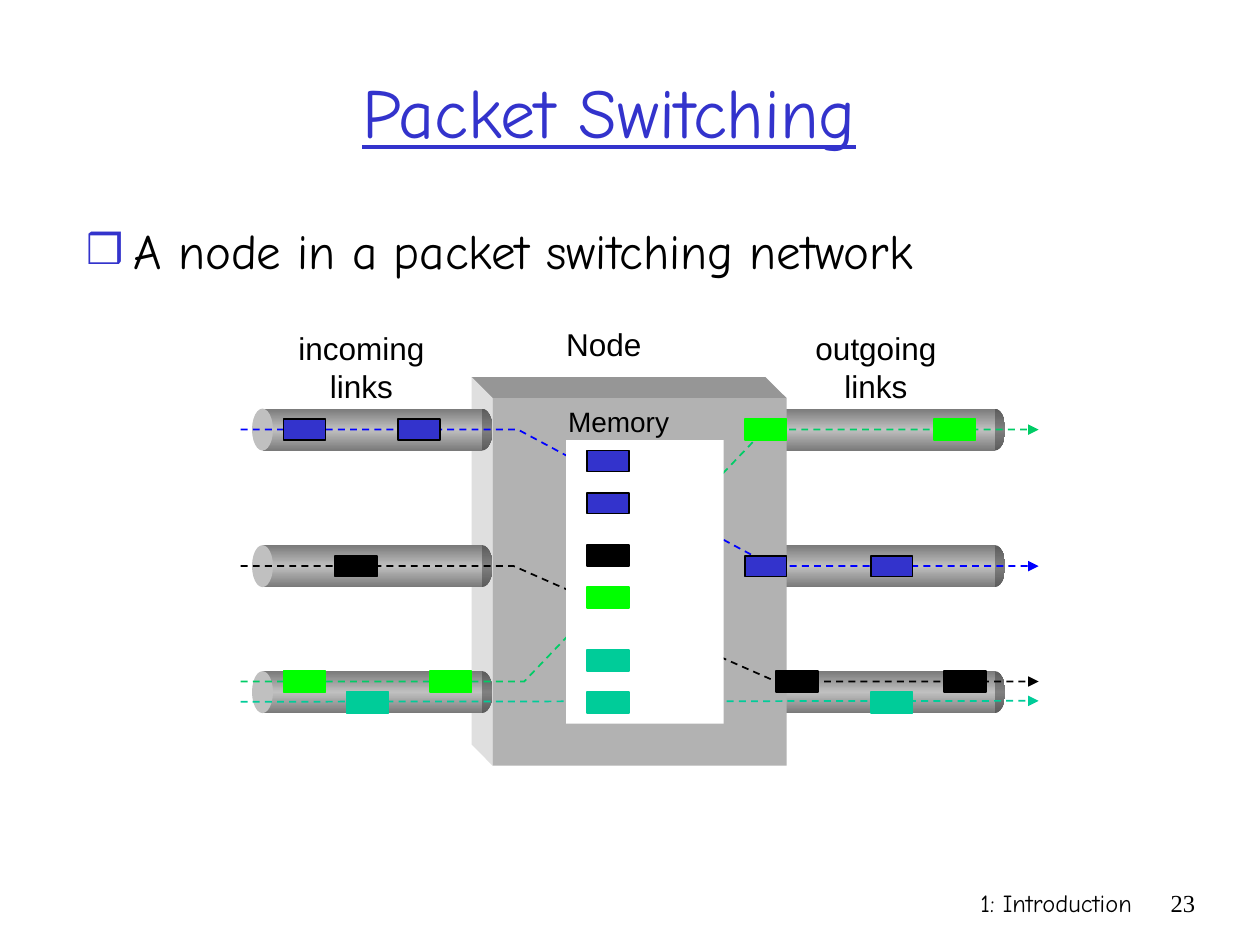
import copy

import pptx
import pptx.util
import pptx.dml.color
import pptx.enum.dml
import pptx.enum.shapes
import pptx.enum.text
import pptx.oxml
import pptx.oxml.ns
from lxml import etree

Pt = pptx.util.Pt
qn = pptx.oxml.ns.qn
SHAPES = pptx.enum.shapes.MSO_SHAPE
ALIGN = pptx.enum.text.PP_ALIGN

THEME = {
    "heading": "Comic Neue", "label": "Arial", "number": "Times New Roman",
    "title_size": 40, "body_size": 28, "label_size": 18, "memory_size": 16,
    "footer_size": 14,
    "black": "000000", "blue": "3333CC", "green": "00FF00", "teal": "00CC99",
    "blue_route": "0000FF", "green_route": "00CC66", "white": "FFFFFF",
    "node_front": "B2B2B2", "node_top": "969696", "node_side": "DFDFDF",
    "pipe_mouth": "C0C0C0", "pipe_body": ("7A7A7A", "C0C0C0"),
    "pipe_end": ("5B5B5B", "808080"),
}

TITLE = "Packet Switching"
BULLET = "A node in a packet switching network"

# text, (left, top, width, height), font, size, alignment, inset
FOOTER = [
    ("1: Introduction", (426, 504, 228, 36), "heading", "footer_size", ALIGN.RIGHT, True),
    ("23", (654, 504, 36, 36), "number", "footer_size", ALIGN.RIGHT, True),
]
LABELS = [
    ("incoming\nlinks", (150, 188, 113, 43), "label", "label_size", ALIGN.CENTER, False),
    ("outgoing\nlinks", (445.5, 188, 110, 43), "label", "label_size", ALIGN.CENTER, False),
    ("Node", (320, 186, 50, 21.5), "label", "label_size", ALIGN.CENTER, False),
]
MEMORY_LABEL = ("Memory", (317.5, 227.5, 72, 26), "label", "memory_size", ALIGN.CENTER, True)

PIPE_TOPS = (233.5, 311.5, 383.5)
INCOMING_LEFT, OUTGOING_LEFT = 144, 437
PIPE_LENGTH, PIPE_HEIGHT, PIPE_CAP = 137.5, 24, 12

NODE = (281.5, 227.5, 168, 210)
NODE_DEPTH = 12
MEMORY = (323.5, 251.5, 90, 162)

ROUTE_START, ROUTE_END = 137.5, 593.5
LANES = (245.5, 323.5, 389.5)
# colour, lane in, x of first bend, x of second bend, lane out
ROUTES = [
    ("green_route", 2, 299.5, 437, 0),
    ("blue_route", 0, 296, 441.5, 1),
    ("black", 1, 293.5, 443.5, 2),
]
STRAIGHT_ROUTE_Y = (401, 400.5)

PACKET = (24, 12)
# fill, outline, left and top of each packet
PACKETS = [
    ("blue", "black", [(162, 239.5), (227.5, 239.5), (335.5, 257.5), (335.5, 281.5),
                       (425.5, 317.5), (497.5, 317.5)]),
    ("black", "black", [(191.5, 317.5), (335.5, 311.5), (443.5, 383.5), (539.5, 383.5)]),
    ("green", "green", [(162, 383.5), (245.5, 383.5), (335.5, 335.5), (425.5, 239.5),
                        (533.5, 239.5)]),
    ("teal", "teal", [(198, 395.5), (335.5, 395.5), (335.5, 371.5), (497.5, 395.5)]),
]


def colour(name):
    return pptx.dml.color.RGBColor.from_string(THEME[name])


def place(shape, box):
    shape.left, shape.top, shape.width, shape.height = map(Pt, box)


def add_run(paragraph, words, font, size, tint="black"):
    run = paragraph.add_run()
    run.text = words
    run.font.name = THEME[font]
    run.font.size = Pt(THEME[size])
    run.font.color.rgb = colour(tint)
    return run


def add_label(slide, words, box, font, size, align, inset):
    label = slide.shapes.add_textbox(*map(Pt, box))
    frame = label.text_frame
    frame.word_wrap = False
    if not inset:
        frame.margin_left = frame.margin_right = frame.margin_top = frame.margin_bottom = 0
    paragraph = frame.paragraphs[0]
    paragraph.alignment = align
    for index, line in enumerate(words.split("\n")):
        if index:
            paragraph.add_line_break()
        add_run(paragraph, line, font, size)


def add_solid(shapes, kind, box, fill, outline=None):
    shape = shapes.add_shape(kind, *map(Pt, box))
    finish(shape, fill, outline)
    return shape


def finish(shape, fill, outline=None):
    shape.shadow.inherit = False
    shape.fill.solid()
    shape.fill.fore_color.rgb = colour(fill)
    if outline:
        shape.line.color.rgb = colour(outline)
        shape.line.width = Pt(1)
    else:
        shape.line.fill.background()


def shade(shape, name):
    """Fill with a vertical gradient, dark at both edges and light in the middle."""
    shape.fill.gradient()
    shape.fill.gradient_angle = 90
    for stop, tint, position in zip(shape.fill.gradient_stops, THEME[name], (0, 0.5)):
        stop.color.rgb = pptx.dml.color.RGBColor.from_string(tint)
        stop.position = position
    stops = shape._element.spPr.find(".//" + qn("a:gsLst"))
    last = copy.deepcopy(stops[0])
    last.set("pos", "100000")
    stops.append(last)


def add_pipe(slide, left, top):
    pipe = slide.shapes.add_group_shape().shapes
    end_left = left + PIPE_LENGTH - PIPE_CAP
    end = add_solid(pipe, SHAPES.OVAL, (end_left, top, PIPE_CAP, PIPE_HEIGHT), "pipe_mouth")
    shade(end, "pipe_end")
    body_box = (left + PIPE_CAP / 2, top, PIPE_LENGTH - PIPE_CAP, PIPE_HEIGHT)
    shade(add_solid(pipe, SHAPES.RECTANGLE, body_box, "pipe_mouth"), "pipe_body")
    add_solid(pipe, SHAPES.OVAL, (left, top, PIPE_CAP, PIPE_HEIGHT), "pipe_mouth")


def add_outline(slide, points, close):
    start, *rest = [(Pt(x), Pt(y)) for x, y in points]
    builder = slide.shapes.build_freeform(*start)
    builder.add_line_segments(rest, close=close)
    return builder.convert_to_shape()


def add_node(slide):
    left, top, width, height = NODE
    right, bottom, d = left + width, top + height, NODE_DEPTH
    lid = [(left, top), (left - d, top - d), (right - d, top - d), (right, top)]
    side = [(left, top), (left - d, top - d), (left - d, bottom - d), (left, bottom)]
    finish(add_outline(slide, lid, True), "node_top")
    finish(add_outline(slide, side, True), "node_side")
    add_solid(slide.shapes, SHAPES.RECTANGLE, NODE, "node_front")


def dash_arrow(route, tint):
    route.line.color.rgb = colour(tint)
    route.line.width = Pt(1)
    route.line.dash_style = pptx.enum.dml.MSO_LINE.DASH
    outline = route._element.spPr.find(qn("a:ln"))
    etree.SubElement(outline, qn("a:tailEnd"), type="triangle")


def add_routes(slide):
    straight = slide.shapes.add_connector(
        pptx.enum.shapes.MSO_CONNECTOR.STRAIGHT,
        Pt(ROUTE_START), Pt(STRAIGHT_ROUTE_Y[0]), Pt(ROUTE_END), Pt(STRAIGHT_ROUTE_Y[1]))
    dash_arrow(straight, "teal")
    etree.SubElement(straight._element.spPr, qn("a:effectLst"))
    for tint, lane_in, bend_in, bend_out, lane_out in ROUTES:
        y_in, y_out = LANES[lane_in], LANES[lane_out]
        points = [(ROUTE_START, y_in), (bend_in, y_in), (bend_out, y_out), (ROUTE_END, y_out)]
        route = add_outline(slide, points, False)
        route.shadow.inherit = False
        route.fill.background()
        dash_arrow(route, tint)


def fill_placeholders(slide):
    title, body = slide.shapes.title, slide.placeholders[1]
    place(title, (42, 18, 612, 90))
    place(body, (42, 126, 612, 39))
    for holder in (title, body):
        holder.text_frame.auto_size = pptx.enum.text.MSO_AUTO_SIZE.NONE
    title.text_frame.vertical_anchor = pptx.enum.text.MSO_ANCHOR.MIDDLE
    heading = title.text_frame.paragraphs[0]
    heading.alignment = ALIGN.CENTER
    add_run(heading, TITLE, "heading", "title_size", "blue").font.underline = True

    item = body.text_frame.paragraphs[0]
    item.line_spacing = 0.9
    item.space_before = Pt(0)
    properties = item._p.get_or_add_pPr()
    properties.set("marL", str(Pt(27)))
    properties.set("indent", str(Pt(-27)))
    bullet_tint = etree.SubElement(properties, qn("a:buClr"))
    etree.SubElement(bullet_tint, qn("a:srgbClr"), val=THEME["blue"])
    etree.SubElement(properties, qn("a:buSzPct"), val="85000")
    etree.SubElement(properties, qn("a:buChar"), char="❒")
    add_run(item, BULLET, "heading", "body_size")


def main():
    deck = pptx.Presentation()
    deck.slide_width, deck.slide_height = Pt(720), Pt(540)
    slide = deck.slides.add_slide(deck.slide_layouts[1])
    fill_placeholders(slide)
    for top in PIPE_TOPS:
        add_pipe(slide, OUTGOING_LEFT, top)
    add_node(slide)
    for top in PIPE_TOPS:
        add_pipe(slide, INCOMING_LEFT, top)
    add_routes(slide)
    add_solid(slide.shapes, SHAPES.RECTANGLE, MEMORY, "white")
    for fill, outline, corners in PACKETS:
        for corner in corners:
            add_solid(slide.shapes, SHAPES.RECTANGLE, corner + PACKET, fill, outline)
    for label in [*LABELS, MEMORY_LABEL, *FOOTER]:
        add_label(slide, *label)
    deck.save("out.pptx")


if __name__ == "__main__":
    main()
